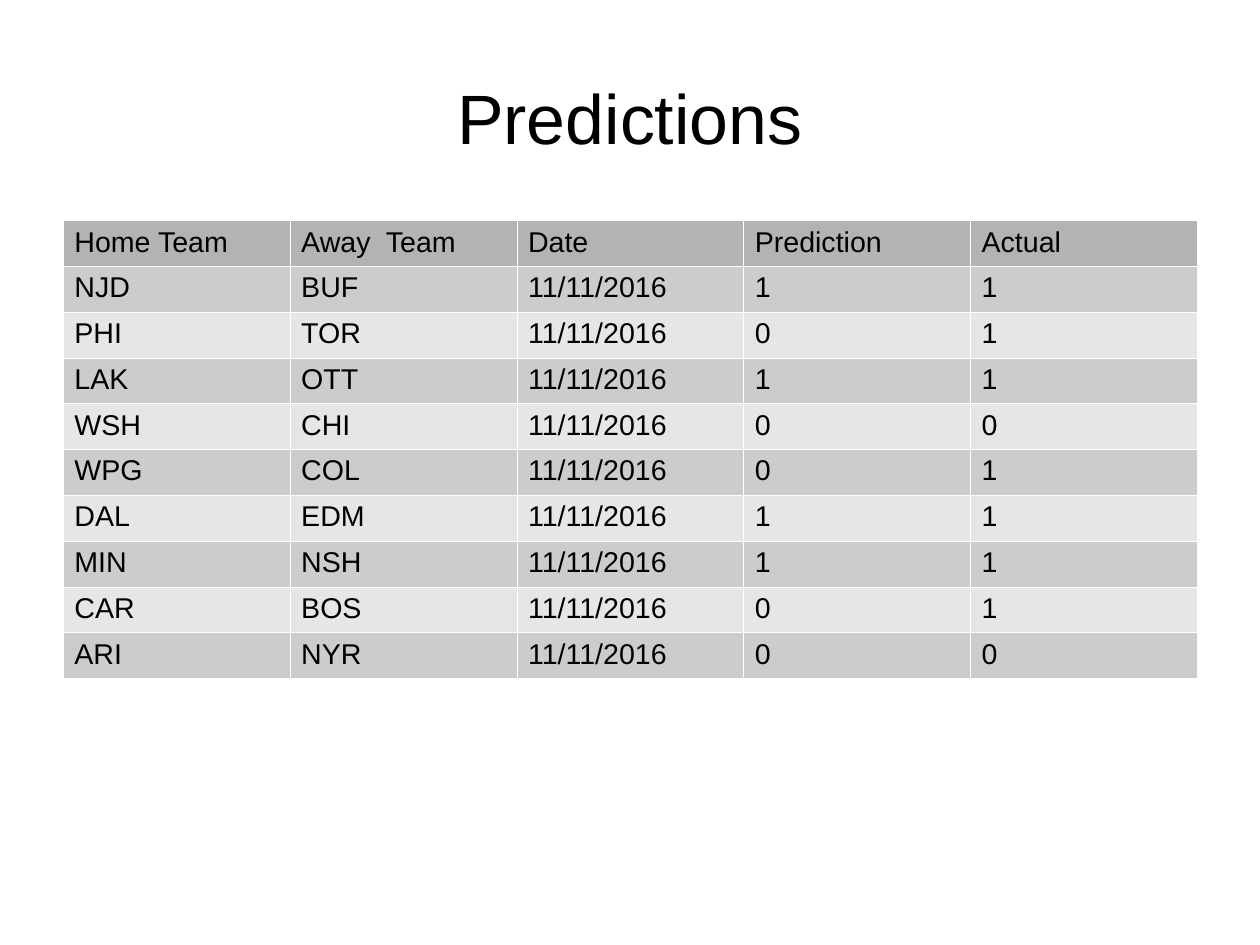
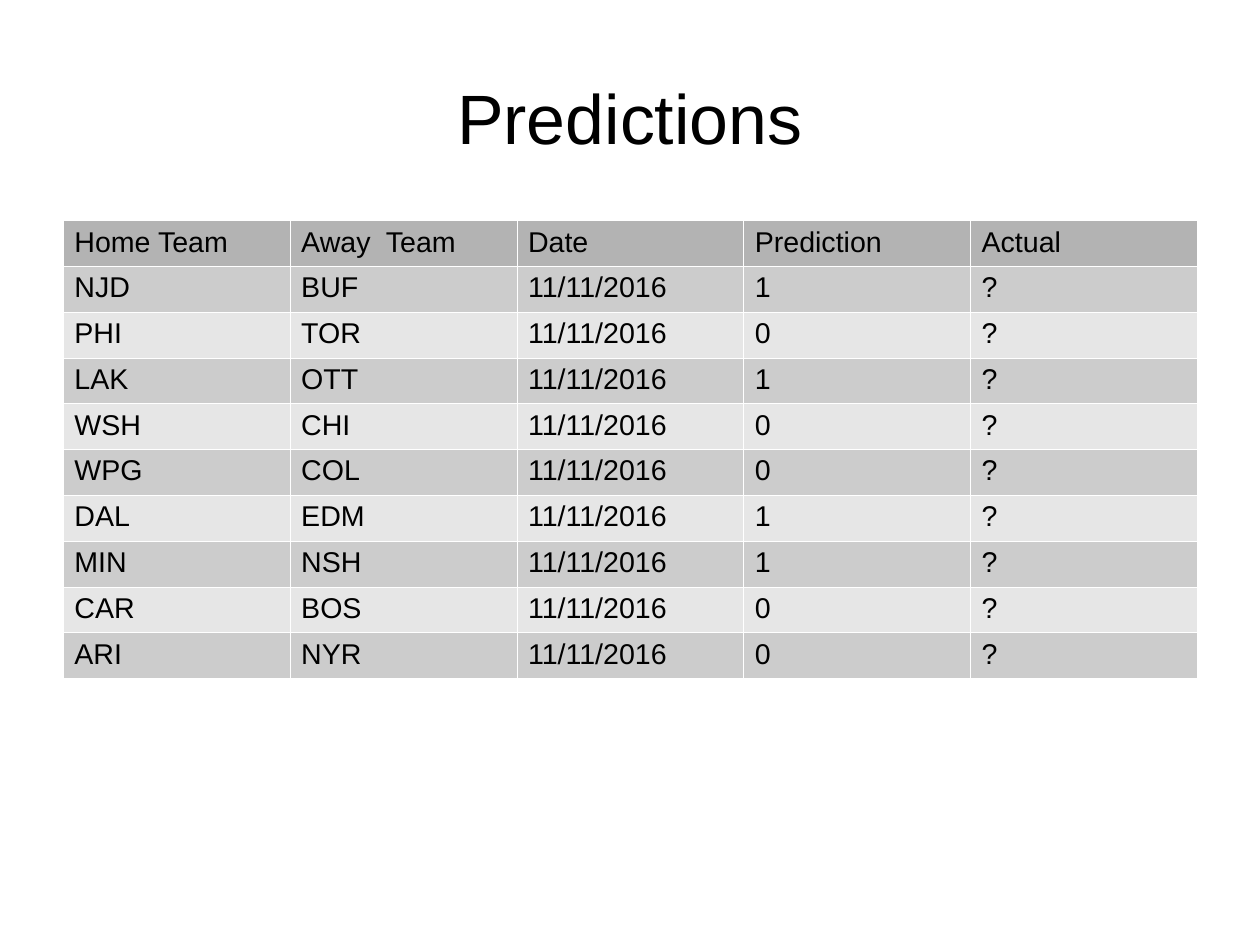
from lxml.etree import SubElement
from pptx import Presentation
from pptx.dml.color import RGBColor
from pptx.enum.text import MSO_ANCHOR as Anchor, PP_ALIGN as Align
from pptx.oxml.ns import qn
from pptx.util import Cm, Pt

BLACK = RGBColor(0x00, 0x00, 0x00)
WHITE = RGBColor(0xFF, 0xFF, 0xFF)
HEADER_GREY = RGBColor(0xB3, 0xB3, 0xB3)
BAND_GREYS = RGBColor(0xCC, 0xCC, 0xCC), RGBColor(0xE6, 0xE6, 0xE6)

HEADINGS = "Home Team", "Away  Team", "Date", "Prediction", "Actual"
GAME_DATE = "11/11/2016"
GAMES = [
    ("NJD", "BUF", "1"),
    ("PHI", "TOR", "0"),
    ("LAK", "OTT", "1"),
    ("WSH", "CHI", "0"),
    ("WPG", "COL", "0"),
    ("DAL", "EDM", "1"),
    ("MIN", "NSH", "1"),
    ("CAR", "BOS", "0"),
    ("ARI", "NYR", "0"),
]
RESULTS = "111011110"
UNKNOWN = "?" * len(GAMES)


def write(frame, text, size=18, color=BLACK, font="Arial", align=Align.LEFT):
    paragraph = frame.paragraphs[0]
    paragraph.alignment = align
    run = paragraph.add_run()
    run.text = text
    run.font.name = font
    run.font.size = Pt(size)
    run.font.color.rgb = color


def draw_borders(cell, color=WHITE, width=0.06):
    properties = cell._tc.get_or_add_tcPr()
    for position, side in enumerate(("lnL", "lnR", "lnT", "lnB")):
        line = properties.makeelement(qn(f"a:{side}"), {"w": str(Pt(width))})
        fill = SubElement(line, qn("a:solidFill"))
        SubElement(fill, qn("a:srgbClr"), val=str(color))
        properties.insert(position, line)


class Deck:
    WIDTH, HEIGHT = Cm(28), Cm(21)
    GRID_COLUMNS, GRID_ROWS = 20, 30
    MARGIN = 1
    CONTENT = GRID_COLUMNS - 2 * MARGIN
    TITLE_TOP, TITLE_ROWS = 1.2, 5
    TABLE_TOP, TABLE_ROWS, RECORD_ROWS = 7, 13.9, 1.34

    def __init__(self):
        self.presentation = Presentation()
        self.presentation.slide_width = self.WIDTH
        self.presentation.slide_height = self.HEIGHT
        self.slide = None

    def across(self, columns):
        return round(columns * self.WIDTH / self.GRID_COLUMNS)

    def down(self, rows):
        return round(rows * self.HEIGHT / self.GRID_ROWS)

    def box(self, column, row, columns, rows):
        return (self.across(column), self.down(row),
                self.across(columns), self.down(rows))

    def add_slide(self, title):
        layout = self.presentation.slide_layouts[6]
        self.slide = self.presentation.slides.add_slide(layout)
        self.add_title(title)

    def add_title(self, title):
        area = self.box(self.MARGIN, self.TITLE_TOP, self.CONTENT, self.TITLE_ROWS)
        frame = self.slide.shapes.add_textbox(*area).text_frame
        frame.word_wrap = True
        frame.vertical_anchor = Anchor.MIDDLE
        frame.margin_left = frame.margin_right = 0
        frame.margin_top = frame.margin_bottom = 0
        write(frame, title, size=44, align=Align.CENTER)

    def add_table(self, records):
        area = self.box(self.MARGIN, self.TABLE_TOP, self.CONTENT, self.TABLE_ROWS)
        shape = self.slide.shapes.add_table(len(records), len(records[0]), *area)
        table = shape.table
        for row, record in enumerate(records):
            table.rows[row].height = self.down(self.RECORD_ROWS)
            shade = BAND_GREYS[(row - 1) % 2] if row else HEADER_GREY
            for column, text in enumerate(record):
                cell = table.cell(row, column)
                cell.fill.solid()
                cell.fill.fore_color.rgb = shade
                draw_borders(cell)
                write(cell.text_frame, text)
        shape.height = self.down(self.TABLE_ROWS)

    def save(self):
        self.presentation.save("out.pptx")


def main():
    deck = Deck()
    for actuals in (RESULTS, UNKNOWN):
        deck.add_slide("Predictions")
        deck.add_table([HEADINGS] + [
            (home, away, GAME_DATE, prediction, actual)
            for (home, away, prediction), actual in zip(GAMES, actuals)])
    deck.save()


if __name__ == "__main__":
    main()
